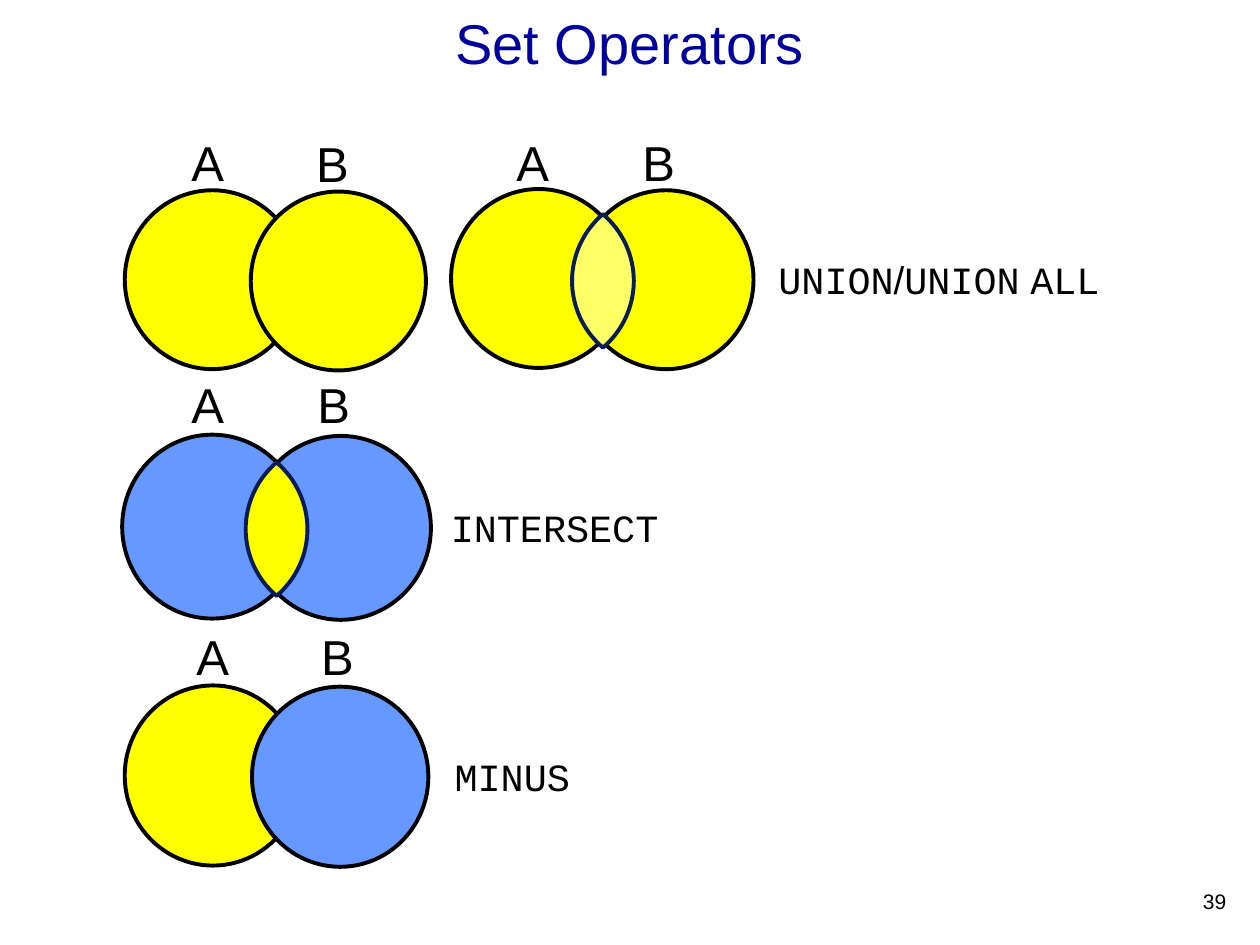
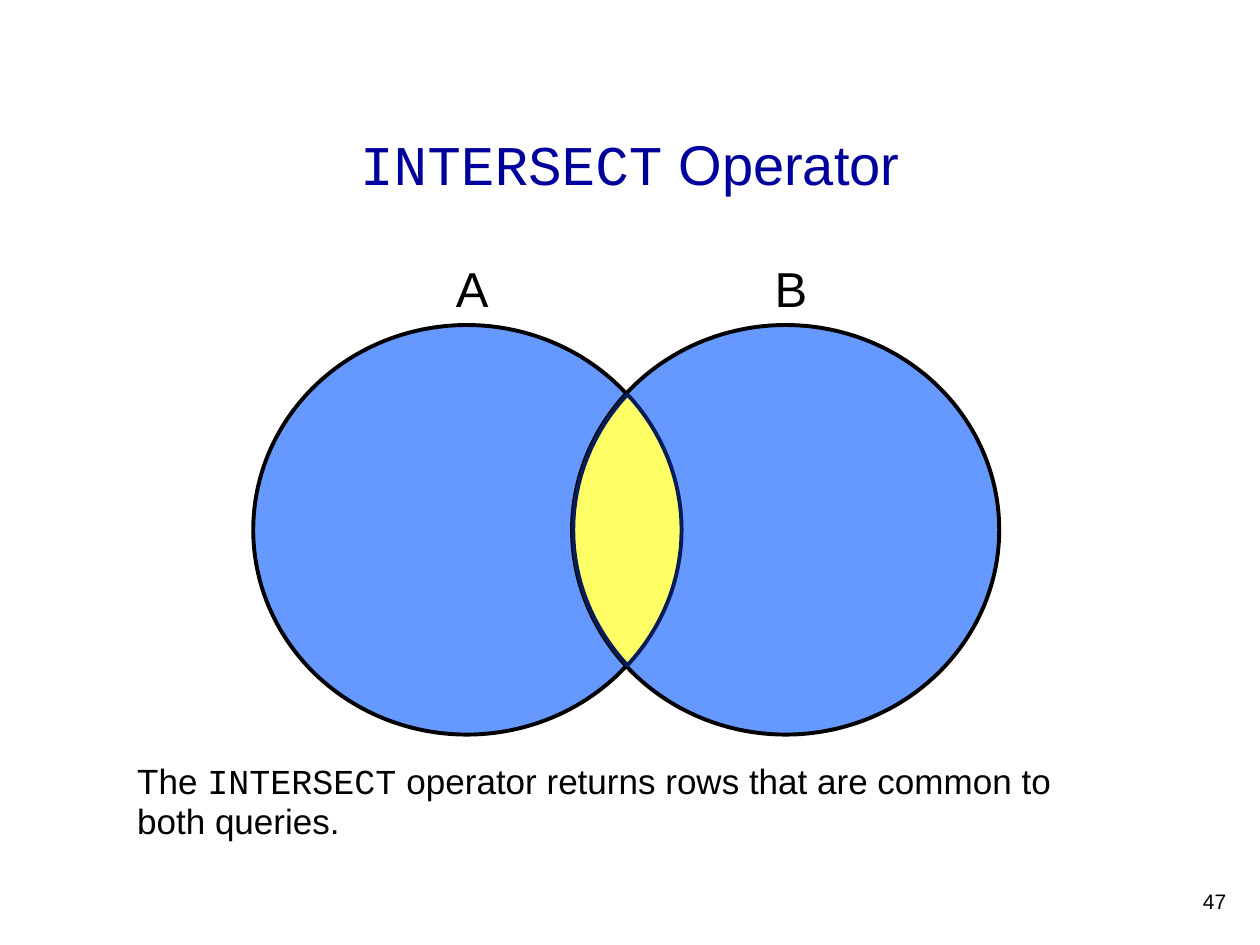
import math
import pptx
import pptx.util
import pptx.dml.color
import pptx.enum.shapes
import pptx.enum.text

Inches = pptx.util.Inches
Pt = pptx.util.Pt
RGBColor = pptx.dml.color.RGBColor
ALIGN = pptx.enum.text.PP_ALIGN
ANCHOR = pptx.enum.text.MSO_ANCHOR
SIZING = pptx.enum.text.MSO_AUTO_SIZE
OVAL = pptx.enum.shapes.MSO_SHAPE.OVAL

BLACK = RGBColor(0x00, 0x00, 0x00)
NAVY = RGBColor(0x00, 0x00, 0x9C)
INK = RGBColor(0x08, 0x1D, 0x58)
BLUE = RGBColor(0x66, 0x99, 0xFF)
YELLOW = RGBColor(0xFF, 0xFF, 0x00)
PALE = RGBColor(0xFF, 0xFF, 0x66)
SANS = "Arial"
MONO = "Courier New"

SLIDES = [
    {
        "title": [("Set Operators", SANS)],
        "title_box": (0.75, 0, 8.5, 0.67),
        "number": "39",
        "venns": [
            {"at": (0.99, 1.51), "size": (1.39, 1.42), "step": (1, 0.01),
             "fills": (YELLOW, YELLOW), "names": ((1.42, 1), (2.41, 1.01))},
            {"at": (3.58, 1.5), "size": (1.39, 1.42), "step": (1.01, 0.01),
             "fills": (YELLOW, YELLOW), "names": ((4, 1), (5, 1)),
             "lens": (4.54, 1.7, 0.49, 1.06, 49, PALE)},
            {"at": (0.97, 3.45), "size": (1.43, 1.46), "step": (1.02, 0.01),
             "fills": (BLUE, BLUE), "names": ((1.42, 2.92), (2.42, 2.92)),
             "lens": (1.95, 3.67, 0.49, 1.06, 49, YELLOW)},
            {"at": (0.99, 5.44), "size": (1.4, 1.43), "step": (1.01, 0.01),
             "fills": (YELLOW, BLUE), "names": ((1.46, 4.92), (2.45, 4.92))},
        ],
        "notes": [
            ((6.08, 1.98, 3.7, 0.47), 22, True, None,
             [("UNION", MONO), ("/", SANS), ("UNION", MONO), (" ", SANS), ("ALL", MONO)]),
            ((3.48, 3.95, 1.86, 0.47), 22, False, None, [("INTERSECT", MONO)]),
            ((3.51, 5.93, 1.12, 0.47), 22, False, None, [("MINUS", MONO)]),
        ],
    },
    {
        "title": [("INTERSECT", MONO), (" Operator", SANS)],
        "title_box": (0.75, 0.67, 8.5, 1.25),
        "number": "47",
        "venns": [
            {"at": (2.01, 2.58), "size": (3.39, 3.25), "step": (2.53, 0),
             "fills": (BLUE, BLUE), "names": ((3.52, 2), (6.05, 2)),
             "lens": (4.55, 3.13, 0.86, 2.15, 41.5, PALE)},
        ],
        "notes": [
            ((0.99, 6, 7.95, 0.74), 20, True, 0.95,
             [("The ", SANS), ("INTERSECT", MONO),
              (" operator returns rows that are common to both queries.", SANS)]),
        ],
    },
]


def add_text(slide, box, runs, size, color=BLACK, wrap=True, grow=True,
             align=ALIGN.LEFT, anchor=ANCHOR.TOP, line=None):
    frame = slide.shapes.add_textbox(*map(Inches, box)).text_frame
    frame.word_wrap = wrap
    frame.auto_size = SIZING.SHAPE_TO_FIT_TEXT if grow else SIZING.NONE
    frame.vertical_anchor = anchor
    para = frame.paragraphs[0]
    para.alignment = align
    if line:
        para.line_spacing = line
    for words, face in runs:
        run = para.add_run()
        run.text = words
        run.font.name = face
        run.font.size = Pt(size)
        run.font.color.rgb = color


def paint(shape, fill, edge):
    shape.shadow.inherit = False
    shape.fill.solid()
    shape.fill.fore_color.rgb = fill
    shape.line.color.rgb = edge
    shape.line.width = Pt(2.25)


def add_lens(slide, left, top, width, height, angle, fill):
    half = math.radians(angle)
    steps = 32
    arc = []
    for i in range(steps + 1):
        turn = half * (2 * i / steps - 1)
        bulge = (math.cos(turn) - math.cos(half)) / (1 - math.cos(half))
        arc.append((bulge * width / 2, math.sin(turn) / math.sin(half) * height / 2))
    ring = arc + [(-x, y) for x, y in reversed(arc[1:-1])]
    mid_x, mid_y = left + width / 2, top + height / 2
    points = [(Inches(mid_x + x), Inches(mid_y + y)) for x, y in ring]
    path = slide.shapes.build_freeform(*points[0])
    path.add_line_segments(points[1:], close=True)
    paint(path.convert_to_shape(), fill, INK)


def add_venn(slide, venn):
    left, top = venn["at"]
    right, down = venn["step"]
    for i, (name, fill, spot) in enumerate(zip("AB", venn["fills"], venn["names"])):
        box = (left + i * right, top + i * down, *venn["size"])
        paint(slide.shapes.add_shape(OVAL, *map(Inches, box)), fill, BLACK)
        add_text(slide, (*spot, 0.38, 0.4), [(name, SANS)], 28, wrap=False)
    if "lens" in venn:
        add_lens(slide, *venn["lens"])


def main():
    deck = pptx.Presentation()
    deck.slide_width, deck.slide_height = Inches(10), Inches(7.5)
    for page in SLIDES:
        slide = deck.slides.add_slide(deck.slide_layouts[6])
        add_text(slide, (9.25, 7, 0.58, 0.3), [(page["number"], SANS)], 12,
                 align=ALIGN.RIGHT)
        add_text(slide, page["title_box"], page["title"], 32, NAVY, grow=False,
                 align=ALIGN.CENTER, anchor=ANCHOR.MIDDLE)
        for venn in page["venns"]:
            add_venn(slide, venn)
        for box, size, wrap, line, runs in page["notes"]:
            add_text(slide, box, runs, size, wrap=wrap, line=line)
    deck.save("out.pptx")


if __name__ == "__main__":
    main()
